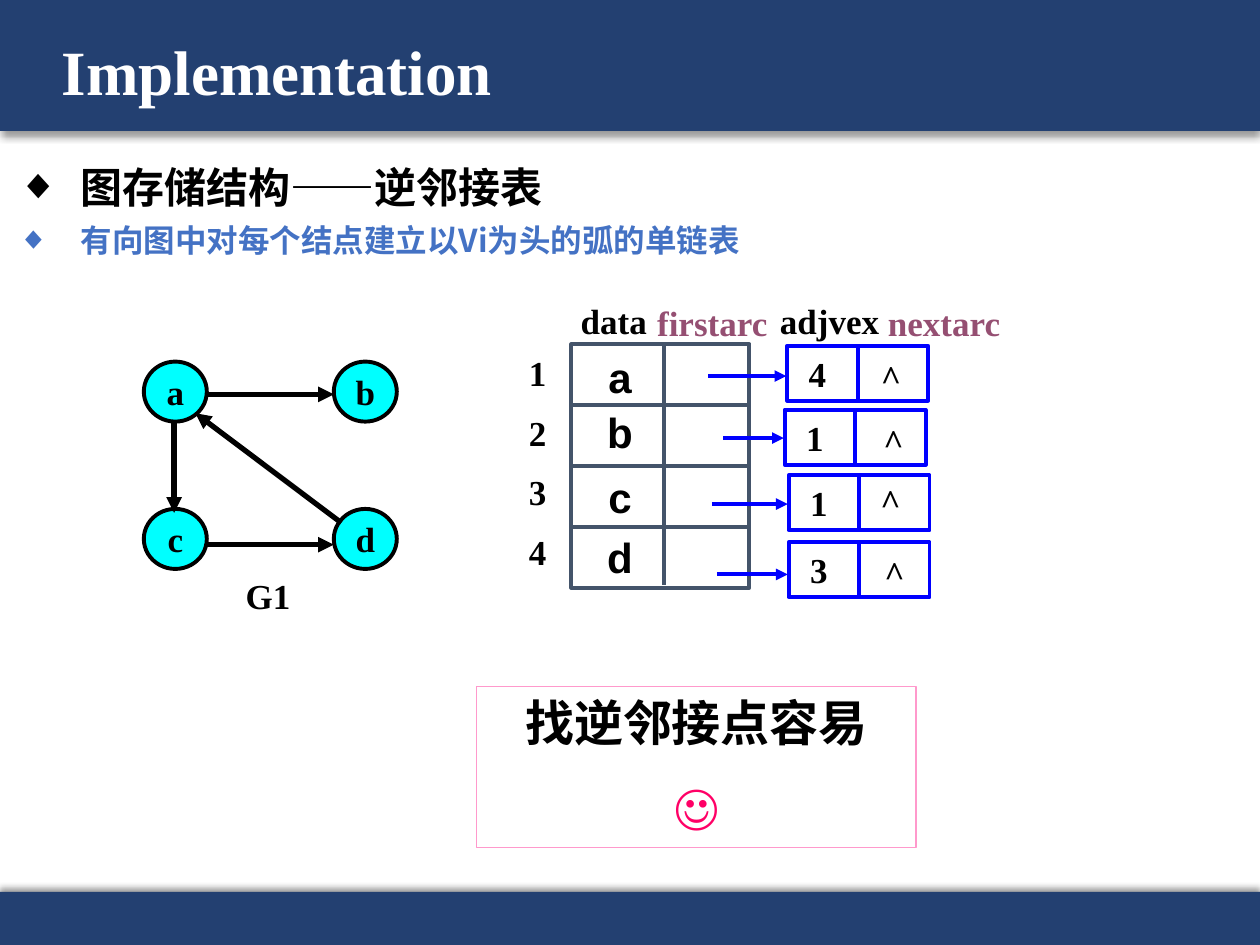
from lxml.etree import SubElement
from pptx import Presentation
from pptx.dml.color import RGBColor
from pptx.enum.shapes import MSO_CONNECTOR, MSO_SHAPE
from pptx.enum.text import MSO_ANCHOR, MSO_AUTO_SIZE, PP_ALIGN
from pptx.oxml.ns import qn
from pptx.util import Cm, Pt

COLORS = {
    "navy": "234071", "white": "FFFFFF", "black": "000000", "blue": "4472C4",
    "slate": "44546A", "cyan": "00FFFF", "link": "0000FF", "plum": "954F72",
    "pink": "FF99CC", "rose": "FF0066",
}
SERIF, SANS, CHINESE = "Times New Roman", "Arial", "Noto Sans CJK SC"


def color(name):
    """Return the named colour."""
    return RGBColor.from_string(COLORS[name])


def place(shape, left, top, width, height):
    """Move and size a shape in centimetres."""
    shape.left, shape.top, shape.width, shape.height = map(Cm, (left, top, width, height))


def format_paragraph(paragraph, size, color_name="black", font=SERIF, align=PP_ALIGN.CENTER):
    """Align a paragraph and format its runs in bold."""
    paragraph.alignment = align
    for run in paragraph.runs:
        run.font.size, run.font.bold, run.font.name = Pt(size), True, font
        run.font.color.rgb = color(color_name)
        SubElement(run.font._element, qn("a:ea"), typeface=font)


def add_box(slide, kind, bounds, fill=None, line=None, width=2.25):
    """Add a preset shape with optional fill and outline."""
    shape = slide.shapes.add_shape(kind, *map(Cm, bounds))
    shape.shadow.inherit = False
    if fill:
        shape.fill.solid()
        shape.fill.fore_color.rgb = color(fill)
    else:
        shape.fill.background()
    if line:
        shape.line.color.rgb = color(line)
        shape.line.width = Pt(width)
    else:
        shape.line.fill.background()
    return shape


def add_bar(slide, top, height, direction):
    """Add a full-width bar with a soft shadow behind the placeholders."""
    bar = add_box(slide, MSO_SHAPE.RECTANGLE, (0, top, 25.4, height), "navy")
    effects = bar._element.spPr.find(qn("a:effectLst"))
    shadow = SubElement(effects, qn("a:outerShdw"), blurRad=str(Pt(4)), dist=str(Pt(3)),
                        dir=str(direction * 60000), rotWithShape="0")
    shade = SubElement(shadow, qn("a:srgbClr"), val=COLORS["black"])
    SubElement(shade, qn("a:alpha"), val="40000")
    slide.shapes._spTree.insert(2, bar._element)


def add_label(slide, text, left, top, width, height=1.12, size=20, color_name="black", font=SERIF):
    """Add a centred one-line label."""
    frame = slide.shapes.add_textbox(*map(Cm, (left, top, width, height))).text_frame
    frame.word_wrap = False
    frame.margin_left = frame.margin_right = 0
    frame.vertical_anchor = MSO_ANCHOR.MIDDLE
    frame.text = text
    format_paragraph(frame.paragraphs[0], size, color_name, font)


def add_line(slide, start, end, color_name, width=2.25, arrow=False):
    """Add a straight line, with an arrowhead at its end if wanted."""
    connector = slide.shapes.add_connector(MSO_CONNECTOR.STRAIGHT, *map(Cm, (*start, *end)))
    connector.line.color.rgb = color(color_name)
    connector.line.width = Pt(width)
    if arrow:
        SubElement(connector.line._get_or_add_ln(), qn("a:tailEnd"), type="triangle")
    SubElement(connector._element.spPr, qn("a:effectLst"))


def fill_placeholders(slide):
    """Write the title and the bulleted heading lines."""
    title, body = slide.shapes.title, slide.placeholders[1]
    place(title, 0.99, 0.43, 21.9, 2.18)
    title.text_frame.text = "Implementation"
    title.text_frame.vertical_anchor = MSO_ANCHOR.MIDDLE
    title.text_frame.paragraphs[0].line_spacing = 0.9
    format_paragraph(title.text_frame.paragraphs[0], 36, "white", align=PP_ALIGN.LEFT)

    place(body, 0.1, 2.87, 24.08, 2.36)
    body.text_frame.auto_size = MSO_AUTO_SIZE.NONE
    body.text_frame.text = "图存储结构——逆邻接表\n有向图中对每个结点建立以Vi为头的弧的单链表"
    for paragraph, size, name in zip(body.text_frame.paragraphs, (24, 18), ("black", "blue")):
        format_paragraph(paragraph, size, name, CHINESE, PP_ALIGN.LEFT)
        paragraph.line_spacing, paragraph.space_before = 1.25, Pt(0)
        properties = paragraph._p.get_or_add_pPr()
        properties.set("marL", str(Cm(1.27)))
        properties.set("indent", str(-Cm(1.27)))
        SubElement(properties, qn("a:buChar"), char="◆")


def add_vertex_table(slide):
    """Draw the vertex array with its indices and headings."""
    left, top, width, row = 11.52, 6.94, 3.59, 1.23
    add_box(slide, MSO_SHAPE.RECTANGLE, (left, top, width, 4.91), line="slate")
    for index in range(1, 4):
        y = top + index * row
        add_line(slide, (left, y), (left + width, y), "slate")
    add_line(slide, (13.38, top), (13.38, 11.79), "slate")
    for index, (letter, y) in enumerate(zip("abcd", (6.95, 8.06, 9.37, 10.59))):
        add_label(slide, str(index + 1), 10.41, 6.95 + index * 1.2, 0.86)
        add_label(slide, letter, 12, y, 1, 1.27, 24, font=SANS)
    add_label(slide, "data", 11.46, 5.9, 1.83)
    add_label(slide, "firstarc", 13, 5.95, 2.72, color_name="plum")
    add_label(slide, "adjvex", 15.47, 5.9, 2.51)
    add_label(slide, "nextarc", 17.67, 5.95, 2.72, color_name="plum")


def add_graph(slide):
    """Draw the directed graph G1."""
    add_label(slide, "G1", 4.39, 11.44, 2.03)
    for index, letter in enumerate("abcd"):
        bounds = (2.9 + index % 2 * 3.83, 7.29 + index // 2 * 2.97, 1.27, 1.21)
        node = add_box(slide, MSO_SHAPE.OVAL, bounds, "cyan", "black")
        node.text_frame.word_wrap = False
        node.text_frame.vertical_anchor = MSO_ANCHOR.MIDDLE
        node.text_frame.text = letter
        format_paragraph(node.text_frame.paragraphs[0], 20)
    arcs = [((4.14, 7.95), (6.73, 7.95)), ((4.14, 10.98), (6.73, 10.98)),
            ((3.51, 8.51), (3.51, 10.34)), ((6.88, 10.54), (3.94, 8.33))]
    for start, end in arcs:
        add_line(slide, start, end, "black", 3, True)


def add_list_node(slide, vertex, left, top, arrow_start, nil_left, nil_top):
    """Draw one linked-list node and the pointer that leads to it."""
    width, height = 2.84, 1.11
    box = add_box(slide, MSO_SHAPE.RECTANGLE, (left, top, width, height), line="link")
    box.text_frame.margin_left = Cm(0.43)
    box.text_frame.vertical_anchor = MSO_ANCHOR.MIDDLE
    box.text_frame.text = vertex
    format_paragraph(box.text_frame.paragraphs[0], 20, align=PP_ALIGN.LEFT)
    middle = left + width / 2
    add_line(slide, (middle, top), (middle, top + height), "link")
    add_line(slide, arrow_start, (left - 0.02, arrow_start[1]), "link", arrow=True)
    add_label(slide, "^", nil_left, nil_top, 0.91)


def add_note(slide):
    """Add the framed remark."""
    note = add_box(slide, MSO_SHAPE.RECTANGLE, (9.61, 13.84, 8.86, 3.25), line="pink", width=0.75)
    frame = note.text_frame
    frame.vertical_anchor = MSO_ANCHOR.TOP
    frame.text = "找逆邻接点容易\n☺"
    remark, smile = frame.paragraphs
    format_paragraph(remark, 28, "black", CHINESE)
    format_paragraph(smile, 28, "rose", CHINESE)
    smile.space_before = Pt(13.5)


def main():
    """Build and save the slide."""
    presentation = Presentation()
    presentation.slide_width, presentation.slide_height = Cm(25.4), Cm(19.05)
    slide = presentation.slides.add_slide(presentation.slide_layouts[1])
    add_bar(slide, 0, 2.64, 90)
    add_bar(slide, 17.98, 1.07, 270)
    fill_placeholders(slide)
    add_vertex_table(slide)
    add_graph(slide)
    list_nodes = [
        ("4", 15.87, 6.97, (14.28, 7.58), 17.51, 7.04),
        ("1", 15.82, 8.26, (14.58, 8.83), 17.56, 8.33),
        ("1", 15.9, 9.58, (14.35, 10.16), 17.5, 9.53),
        ("3", 15.9, 10.93, (14.45, 11.58), 17.58, 10.98),
    ]
    for list_node in list_nodes:
        add_list_node(slide, *list_node)
    add_note(slide)
    presentation.save("out.pptx")


if __name__ == "__main__":
    main()
